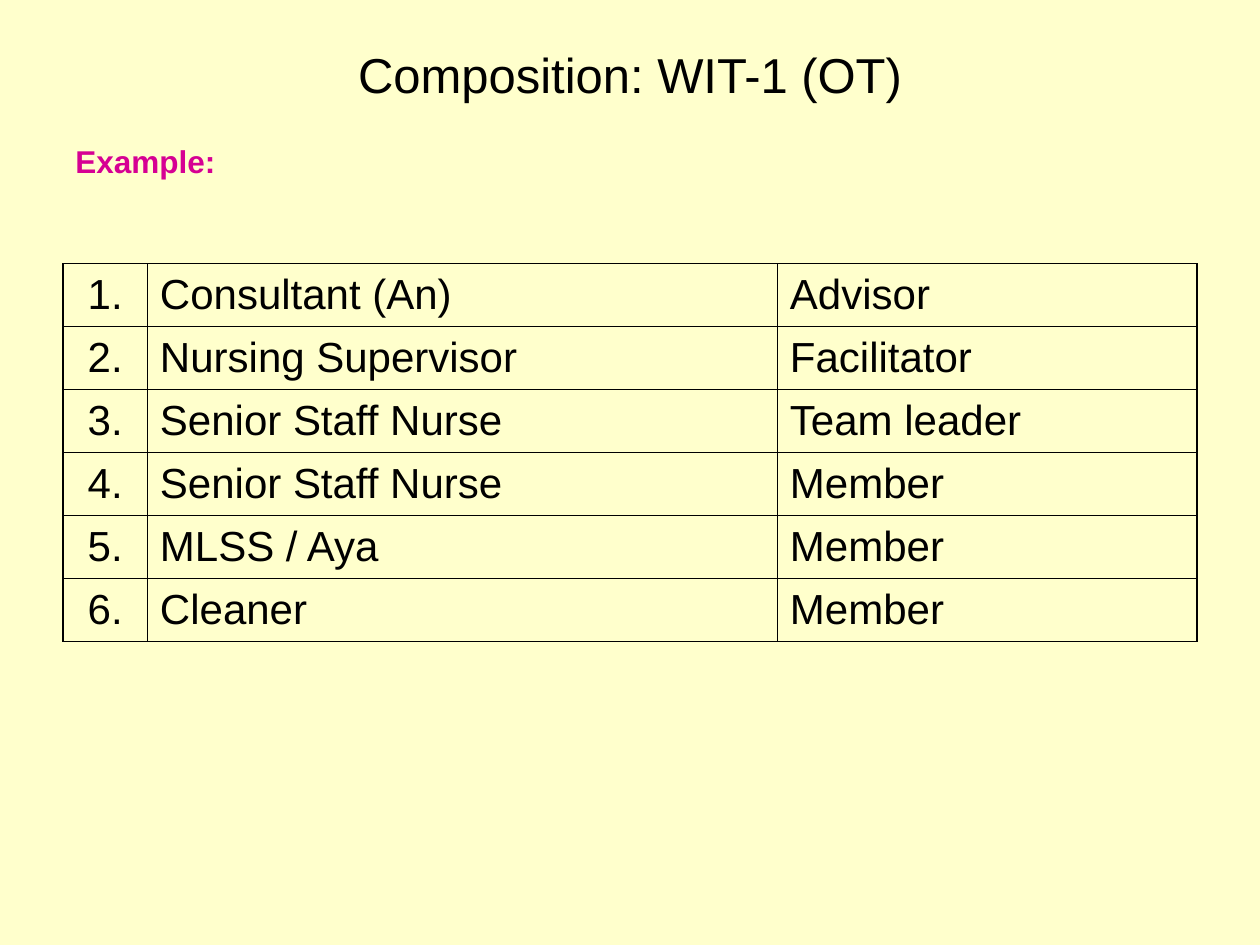
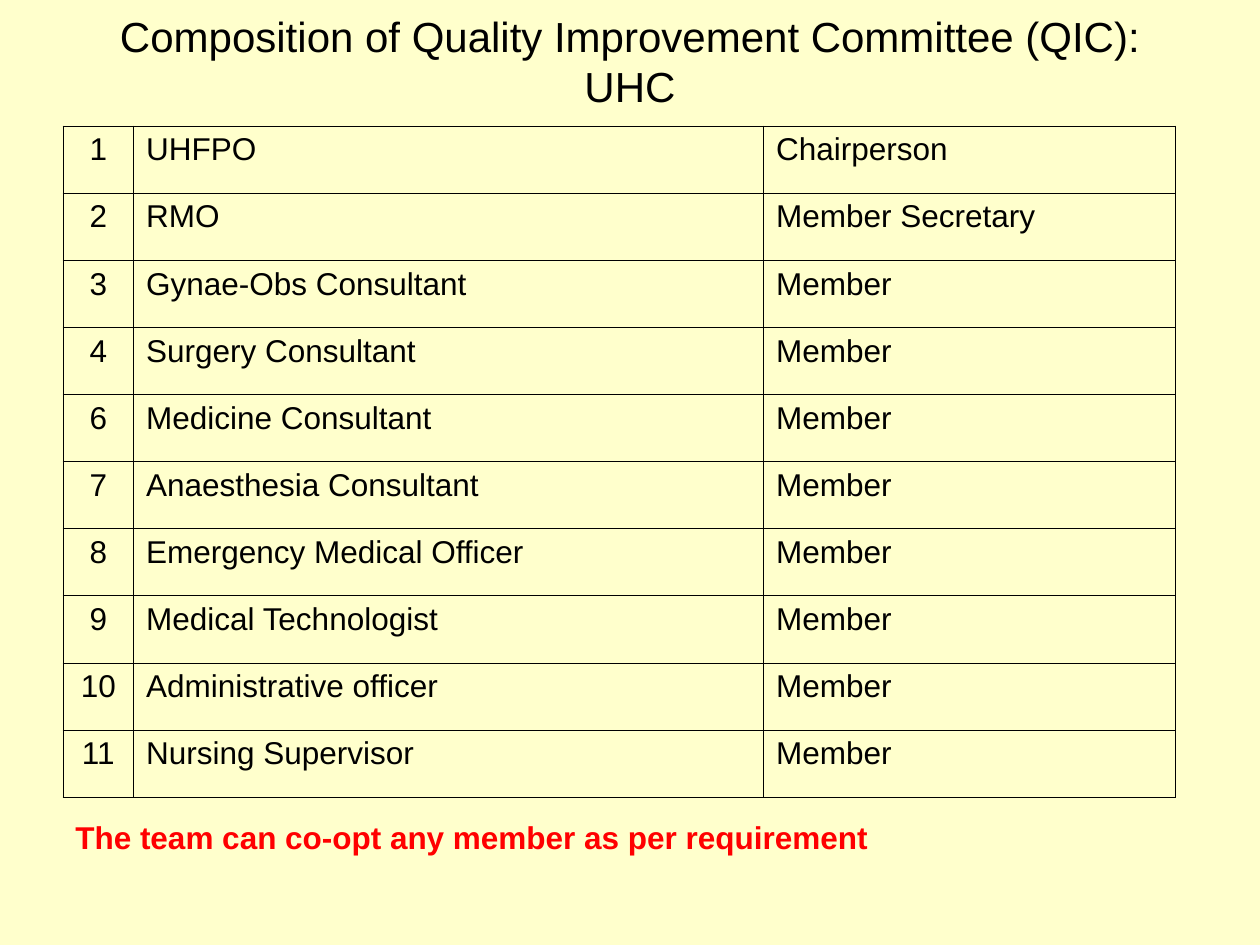
import pptx
import pptx.dml.color
import pptx.enum.text
import pptx.oxml
import pptx.oxml.ns
import pptx.util

# Shared look
FONT = "Arial"
PAPER, INK, PINK, RED = "FFFFCC", "000000", "D60093", "FF0000"
THIN, HEAVY = 0.45, 0.96
WIDTH, HEIGHT = 10, 7.5
MARGIN = WIDTH / 20
TITLE_WIDTH = WIDTH - 2 * MARGIN

LEFT = pptx.enum.text.PP_ALIGN.LEFT
CENTER = pptx.enum.text.PP_ALIGN.CENTER
TOP = pptx.enum.text.MSO_ANCHOR.TOP
MIDDLE = pptx.enum.text.MSO_ANCHOR.MIDDLE

TEAM = [
    ("1.", "Consultant (An)", "Advisor"),
    ("2.", "Nursing Supervisor", "Facilitator"),
    ("3.", "Senior Staff Nurse", "Team leader"),
    ("4.", "Senior Staff Nurse", "Member"),
    ("5.", "MLSS / Aya", "Member"),
    ("6.", "Cleaner", "Member"),
]
COMMITTEE = [
    ("1", "UHFPO", "Chairperson"),
    ("2", "RMO", "Member Secretary"),
    ("3", "Gynae-Obs Consultant", "Member"),
    ("4", "Surgery Consultant", "Member"),
    ("6", "Medicine Consultant", "Member"),
    ("7", "Anaesthesia Consultant", "Member"),
    ("8", "Emergency Medical Officer", "Member"),
    ("9", "Medical Technologist", "Member"),
    ("10", "Administrative officer", "Member"),
    ("11", "Nursing Supervisor", "Member"),
]


def rgb(value):
    return pptx.dml.color.RGBColor.from_string(value)


def write(p, text, size, color=INK, bold=False, align=LEFT):
    p.alignment = align
    r = p.add_run()
    r.text = text
    r.font.name = FONT
    r.font.size = pptx.util.Pt(size)
    r.font.bold = bold
    r.font.color.rgb = rgb(color)


def add_text(s, top, width, height, anchor=TOP):
    """Add a text box at the left margin and return its first paragraph."""
    box = s.shapes.add_textbox(*map(pptx.util.Inches, (MARGIN, top, width, height)))
    tf = box.text_frame
    tf.word_wrap = True
    tf.vertical_anchor = anchor
    return tf.paragraphs[0]


def add_slide(prs, title, top, height, size):
    s = prs.slides.add_slide(prs.slide_layouts[6])
    s.background.fill.solid()
    s.background.fill.fore_color.rgb = rgb(PAPER)
    write(add_text(s, top, TITLE_WIDTH, height, MIDDLE), title, size, align=CENTER)
    return s


def add_note(s, text, top, width, height, color, spacing=1.0):
    p = add_text(s, top, width, height)
    p.line_spacing = spacing
    write(p, text, 18, color, bold=True)


def set_borders(cell, **widths):
    tc_pr = cell._tc.get_or_add_tcPr()
    for side in "LRTB":
        width = pptx.util.Pt(widths.get(side, THIN))
        tc_pr.append(pptx.oxml.parse_xml(
            f'<a:ln{side} {pptx.oxml.ns.nsdecls("a")} w="{width}"><a:solidFill>'
            f'<a:srgbClr val="{INK}"/></a:solidFill></a:ln{side}>'))


def add_roster(s, rows, top, height, columns, size, anchor=TOP,
               sides=THIN, heavy_rows=()):
    """Add a numbered list of posts; heavy_rows get a heavier number divider."""
    frame = s.shapes.add_table(
        len(rows), len(columns),
        *map(pptx.util.Inches, (MARGIN, top, sum(columns), height)))
    table = frame.table
    table.first_row = table.horz_banding = False
    for column, width in zip(table.columns, columns):
        column.width = pptx.util.Inches(width)
    for i, row in enumerate(rows):
        divider = HEAVY if i in heavy_rows else THIN
        edges = (sides, divider, THIN, sides)
        for j, text in enumerate(row):
            cell = table.cell(i, j)
            set_borders(cell, L=edges[j], R=edges[j + 1])
            cell.fill.background()
            cell.vertical_anchor = anchor
            write(cell.text_frame.paragraphs[0], text, size,
                  align=LEFT if j else CENTER)


def main():
    prs = pptx.Presentation()
    prs.slide_width = pptx.util.Inches(WIDTH)
    prs.slide_height = pptx.util.Inches(HEIGHT)

    # Work improvement team
    s = add_slide(prs, "Composition: WIT-1 (OT)", 0.17, 0.83, 28)
    add_roster(s, TEAM, 2.09, 3, (0.67, 5, 3.33), 24, MIDDLE,
               sides=HEAVY, heavy_rows=(1, 2, 3))
    add_note(s, "Example:", 1.08, 3, 0.4, PINK)

    # Quality improvement committee
    s = add_slide(prs, "Composition of Quality Improvement Committee (QIC): UHC",
                  0.13, 0.7, 24)
    add_roster(s, COMMITTEE, 1, 5.33, (0.56, 5, 3.27), 18)
    add_note(s, "The team can co-opt any member as per requirement",
             6.5, 8.17, 0.34, RED, spacing=0.8)

    prs.save("out.pptx")


if __name__ == "__main__":
    main()
